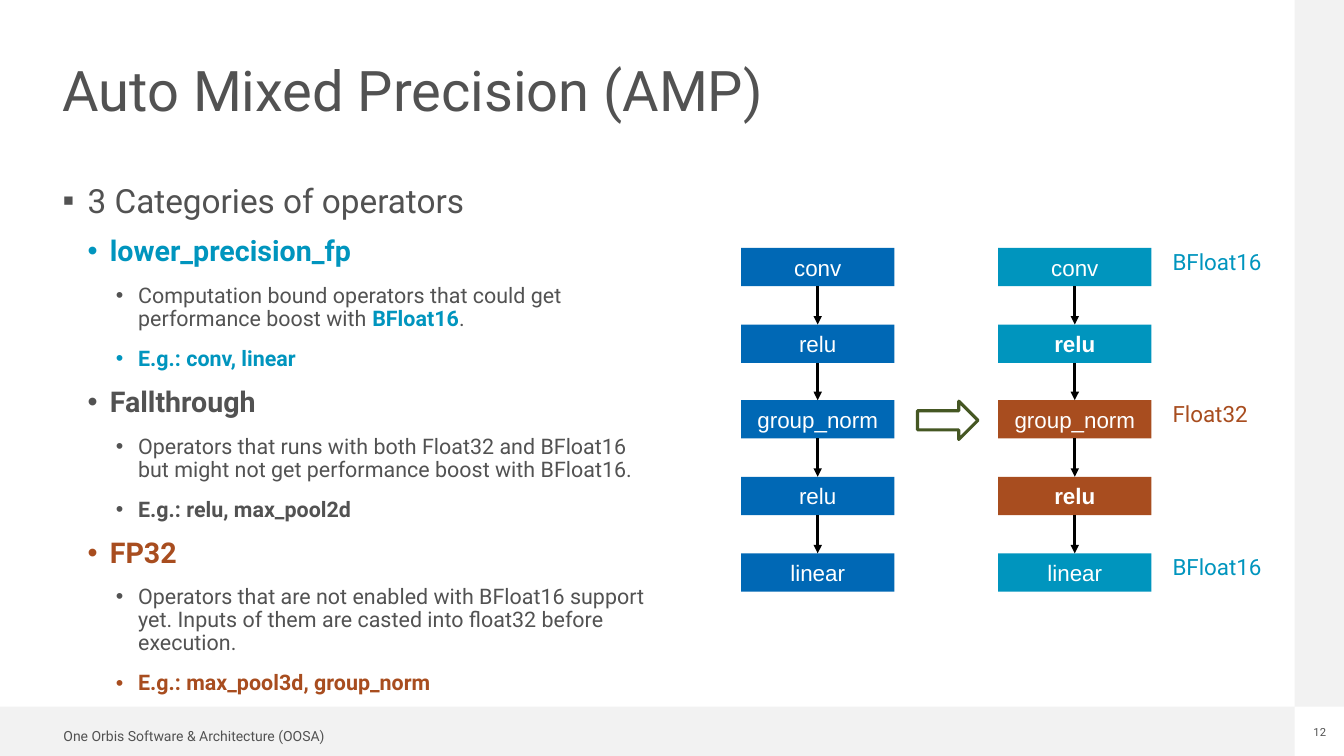
import lxml.etree
import pptx
import pptx.dml.color
import pptx.enum.shapes
import pptx.enum.text
import pptx.oxml.ns
import pptx.util

GREY = pptx.dml.color.RGBColor(0x52, 0x52, 0x52)
BAND = pptx.dml.color.RGBColor(0xF2, 0xF2, 0xF2)
BLUE = pptx.dml.color.RGBColor(0x00, 0x68, 0xB5)
CYAN = pptx.dml.color.RGBColor(0x00, 0x95, 0xBE)
RUST = pptx.dml.color.RGBColor(0xA8, 0x4D, 0x1F)
GREEN = pptx.dml.color.RGBColor(0x45, 0x57, 0x23)
WHITE = pptx.dml.color.RGBColor(0xFF, 0xFF, 0xFF)
BLACK = pptx.dml.color.RGBColor(0x00, 0x00, 0x00)

LEFT = pptx.enum.text.PP_ALIGN.LEFT
CENTER = pptx.enum.text.PP_ALIGN.CENTER
RECTANGLE = pptx.enum.shapes.MSO_SHAPE.RECTANGLE
RIGHT_ARROW = pptx.enum.shapes.MSO_SHAPE.RIGHT_ARROW

EXAMPLE_LEVEL = 2
CATEGORIES = [
    (0, [("3 Categories of operators", GREY, False)]),
    (1, [("lower_precision_fp", CYAN, True)]),
    (2, [("Computation bound operators that could get performance boost with ", GREY, False),
         ("BFloat16", CYAN, True), (".", GREY, False)]),
    (EXAMPLE_LEVEL, [("E.g.: conv, linear", CYAN, True)]),
    (1, [("Fallthrough", GREY, True)]),
    (2, [("Operators that runs with both Float32 and BFloat16 but might not get "
          "performance boost with BFloat16.", GREY, False)]),
    (EXAMPLE_LEVEL, [("E.g.: relu, max_pool2d", GREY, True)]),
    (1, [("FP32", RUST, True)]),
    (2, [("Operators that are not enabled with BFloat16 support yet. Inputs of them are "
          "casted into float32 before execution.", GREY, False)]),
    (EXAMPLE_LEVEL, [("E.g.: max_pool3d, group_norm", RUST, True)]),
]
LEVELS = [(23.8, 25, 25, "▪"), (20.4, 47, 22, "•"), (15.3, 75, 22, "•")]

OPERATORS = ["conv", "relu", "group_norm", "relu", "linear"]
MIXED_COLORS = [CYAN, CYAN, RUST, RUST, CYAN]
PRECISIONS = [(0, "BFloat16", CYAN), (2, "Float32", RUST), (4, "BFloat16", CYAN)]
ROW_TOPS = [246 + round(75.7 * row) for row in range(len(OPERATORS))]


class SlideBuilder:
    """Draws styled elements on one slide, with 100 px to the inch."""

    SCALE = 9144
    FONT = "Roboto"
    DIAGRAM_FONT = "Arial"

    def __init__(self, presentation):
        presentation.slide_width = self.px(1333)
        presentation.slide_height = self.px(750)
        self.slide = presentation.slides.add_slide(presentation.slide_layouts[1])

    def px(self, length):
        return pptx.util.Emu(length * self.SCALE)

    def place(self, shape, left, top, width, height):
        shape.left, shape.top = self.px(left), self.px(top)
        shape.width, shape.height = self.px(width), self.px(height)

    def frame(self, shape, inset=0, wrap=True, anchor=pptx.enum.text.MSO_ANCHOR.TOP):
        frame = shape.text_frame
        frame.margin_left = frame.margin_right = self.px(inset)
        frame.margin_top = frame.margin_bottom = self.px(inset)
        frame.auto_size = pptx.enum.text.MSO_AUTO_SIZE.NONE
        frame.word_wrap = wrap
        frame.vertical_anchor = anchor
        return frame

    def run(self, paragraph, text, size, color, bold=False, font=FONT):
        run = paragraph.add_run()
        run.text = text
        run.font.name = font
        run.font.size = pptx.util.Pt(size)
        run.font.bold = bold
        run.font.color.rgb = color

    def title(self, text, *box):
        title = self.slide.shapes.title
        self.place(title, *box)
        paragraph = self.frame(title).paragraphs[0]
        paragraph.alignment = LEFT
        paragraph.line_spacing = 0.9
        self.run(paragraph, text, 40, GREY)

    def bullets(self, items, *box):
        body = self.slide.placeholders[1]
        self.place(body, *box)
        frame = self.frame(body)
        for index, (level, runs) in enumerate(items):
            paragraph = frame.add_paragraph() if index else frame.paragraphs[0]
            size, margin, hanging, mark = LEVELS[level]
            paragraph.level = level
            paragraph.line_spacing = 0.9
            paragraph.space_before = pptx.util.Pt(12)
            properties = paragraph._p.get_or_add_pPr()
            properties.set("marL", str(self.px(margin)))
            properties.set("indent", str(-self.px(hanging)))
            bullet = lxml.etree.SubElement(properties, pptx.oxml.ns.qn("a:buChar"))
            bullet.set("char", mark)
            for text, color, bold in runs:
                self.run(paragraph, text, size, color, bold)

    def shape(self, kind, *box, fill=None, line=None):
        shape = self.slide.shapes.add_shape(kind, *map(self.px, box))
        shape.shadow.inherit = False
        if fill is None:
            shape.fill.background()
        else:
            shape.fill.solid()
            shape.fill.fore_color.rgb = fill
        if line is None:
            shape.line.fill.background()
        else:
            shape.line.color.rgb = line
            shape.line.width = pptx.util.Pt(2.25)
        return shape

    def label(self, text, *box, size, color, alignment=LEFT):
        label = self.slide.shapes.add_textbox(*map(self.px, box))
        paragraph = self.frame(label, wrap=False).paragraphs[0]
        paragraph.alignment = alignment
        self.run(paragraph, text, size, color)

    def operator(self, text, left, top, fill, bold):
        box = self.shape(RECTANGLE, left, top, 152, 38, fill=fill)
        middle = pptx.enum.text.MSO_ANCHOR.MIDDLE
        paragraph = self.frame(box, inset=6, anchor=middle).paragraphs[0]
        paragraph.alignment = CENTER
        self.run(paragraph, text, 16, WHITE, bold, self.DIAGRAM_FONT)
        return box

    def arrow(self, upper, lower):
        straight = pptx.enum.shapes.MSO_CONNECTOR.STRAIGHT
        connector = self.slide.shapes.add_connector(straight, 0, 0, 0, 0)
        connector.begin_connect(upper, 2)
        connector.end_connect(lower, 0)
        connector.line.color.rgb = BLACK
        connector.line.width = pptx.util.Pt(2)
        properties = connector._element.spPr
        head = lxml.etree.SubElement(properties.get_or_add_ln(), pptx.oxml.ns.qn("a:tailEnd"))
        head.set("type", "triangle")
        lxml.etree.SubElement(properties, pptx.oxml.ns.qn("a:effectLst"))

    def chain(self, left, colors, bold_names=()):
        boxes = [self.operator(name, left, top, color, name in bold_names)
                 for name, top, color in zip(OPERATORS, ROW_TOPS, colors)]
        for upper, lower in zip(boxes, boxes[1:]):
            self.arrow(upper, lower)


def main():
    presentation = pptx.Presentation()
    builder = SlideBuilder(presentation)
    builder.shape(RECTANGLE, 0, 701, 1284, 49, fill=BAND)
    builder.shape(RECTANGLE, 1284, 0, 49, 701, fill=BAND)
    builder.label("One Orbis Software & Architecture (OOSA)", 63, 722, 263, 17,
                  size=10, color=GREY)
    builder.label("12", 1302, 720, 14, 13, size=8, color=GREY, alignment=CENTER)
    builder.title("Auto Mixed Precision (AMP)", 62, 63, 1204, 104)
    builder.bullets(CATEGORIES, 62, 183, 578, 501)
    builder.chain(735, [BLUE] * len(OPERATORS))
    builder.chain(990, MIXED_COLORS, bold_names=("relu",))
    builder.shape(RIGHT_ARROW, 910, 398, 60, 38, line=GREEN)
    for row, text, color in PRECISIONS:
        builder.label(text, 1163, ROW_TOPS[row], 92, 27, size=16, color=color)
    presentation.save("out.pptx")


if __name__ == "__main__":
    main()
